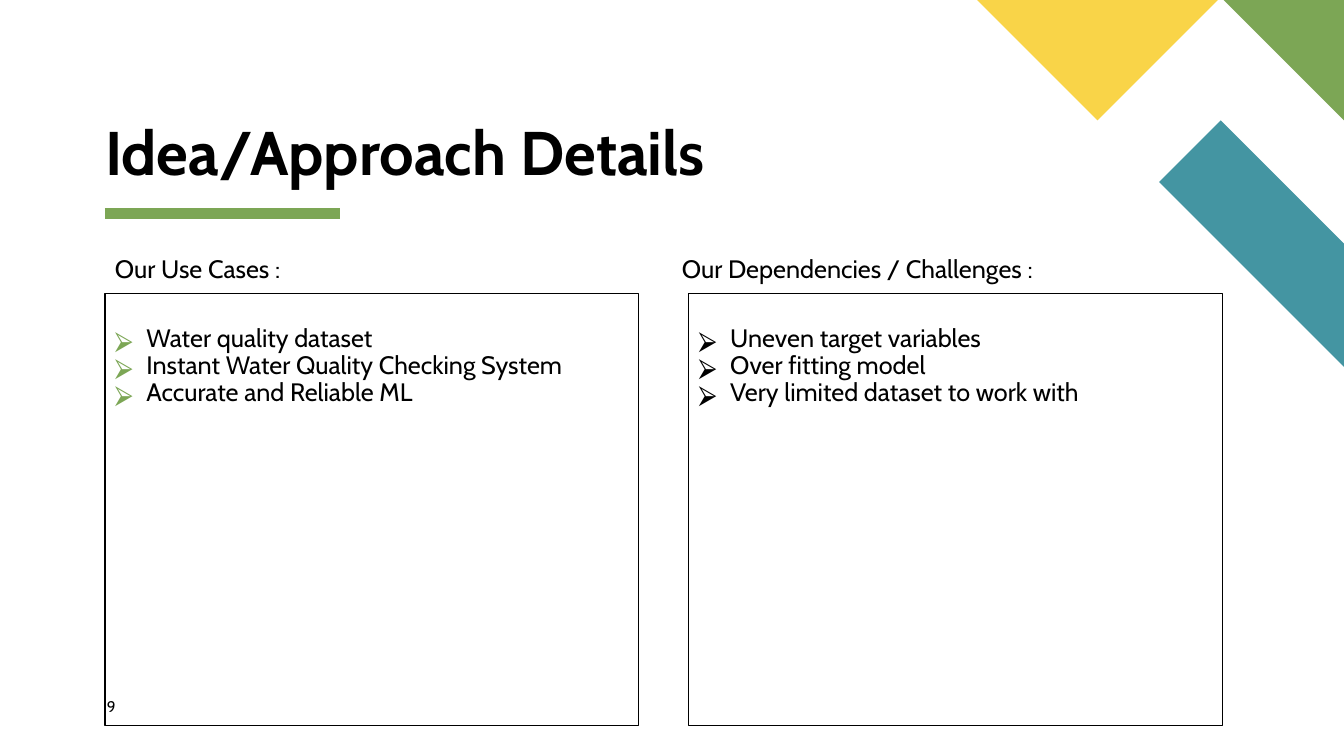
from lxml import etree
from pptx import Presentation
from pptx import util as u
from pptx.dml import color
from pptx.enum import shapes, text
from pptx.oxml import ns

Pt = u.Pt
GREEN, TEAL, YELLOW, BLACK = "7CA655", "4495A2", "F9D448", "000000"


def rgb(value):
    return color.RGBColor.from_string(value)


def write(box, lines, size, margins=(0, 0, 0, 0), spacing=0.9, bold=False):
    frame = box.text_frame
    frame.word_wrap = True
    frame.margin_left, frame.margin_top, frame.margin_right, frame.margin_bottom = map(Pt, margins)
    frame.vertical_anchor = text.MSO_ANCHOR.TOP
    frame.text = "\n".join(lines)
    for para in frame.paragraphs:
        para.alignment = text.PP_ALIGN.LEFT
        para.line_spacing = spacing
        for span in para.runs:
            span.font.name = "Cabin"
            span.font.size = Pt(size)
            span.font.bold = bold
            span.font.color.rgb = rgb(BLACK)
    return frame


deck = Presentation()
deck.slide_width, deck.slide_height = Pt(960), Pt(540)
page = deck.slides.add_slide(deck.slide_layouts[6])

underline = page.shapes.add_connector(
    shapes.MSO_CONNECTOR.STRAIGHT, Pt(75), Pt(152.6), Pt(243), Pt(152.6))
underline.line.color.rgb = rgb(GREEN)
underline.line.width = Pt(8)
etree.SubElement(underline._element.spPr, ns.qn("a:effectLst"))

corner_pieces = [
    (TEAL, [(960, 262), (960, 173.5), (872.5, 86), (828.3, 130)]),
    (GREEN, [(960, 86), (960, 0), (874.5, 0)]),
    (YELLOW, [(698.5, 0), (784.3, 86), (870.3, 0)]),
]
for fill, points in corner_pieces:
    builder = page.shapes.build_freeform(*points[0], scale=Pt(1))
    builder.add_line_segments(points[1:], close=True)
    piece = builder.convert_to_shape()
    piece.shadow.inherit = False
    piece.fill.solid()
    piece.fill.fore_color.rgb = rgb(fill)
    piece.line.fill.background()

title = page.shapes.add_textbox(Pt(75), Pt(86.4), Pt(455), Pt(48.2))
title_frame = write(title, ["Idea/Approach Details"], 44, bold=True)
title_frame.vertical_anchor = text.MSO_ANCHOR.BOTTOM

columns = [
    (75, 75, "Our Use Cases :", GREEN,
     ["Water quality dataset", "Instant Water Quality Checking System",
      "Accurate and Reliable ML"]),
    (480, 492, "Our Dependencies / Challenges :", BLACK,
     ["Uneven target variables", "Over fitting model",
      "Very limited dataset to work with"]),
]
for heading_left, panel_left, heading, bullet_color, items in columns:
    label = page.shapes.add_textbox(Pt(heading_left), Pt(180), Pt(381), Pt(25.2))
    write(label, [heading], 18, (7.2, 3.6, 7.2, 3.6))

    panel = page.shapes.add_shape(
        shapes.MSO_SHAPE.RECTANGLE, Pt(panel_left), Pt(209.3), Pt(381), Pt(309))
    panel.shadow.inherit = False
    panel.fill.background()
    panel.line.color.rgb = rgb(BLACK)
    panel.line.width = Pt(0.75)
    frame = write(panel, items, 18, (7.2, 23.3, 7.2, 3.6))
    for para in frame.paragraphs:
        properties = para._p.get_or_add_pPr()
        properties.set("marL", str(Pt(22.5)))
        properties.set("indent", str(Pt(-22.5)))
        bullet_fill = etree.SubElement(properties, ns.qn("a:buClr"))
        etree.SubElement(bullet_fill, ns.qn("a:srgbClr"), val=bullet_color)
        etree.SubElement(properties, ns.qn("a:buFont"), typeface="Noto Sans Symbols")
        etree.SubElement(properties, ns.qn("a:buChar"), char="⮚")

page_number = page.shapes.add_textbox(Pt(76.3), Pt(498.2), Pt(41), Pt(19.4))
write(page_number, ["9"], 11, spacing=1.0)

deck.save("out.pptx")
